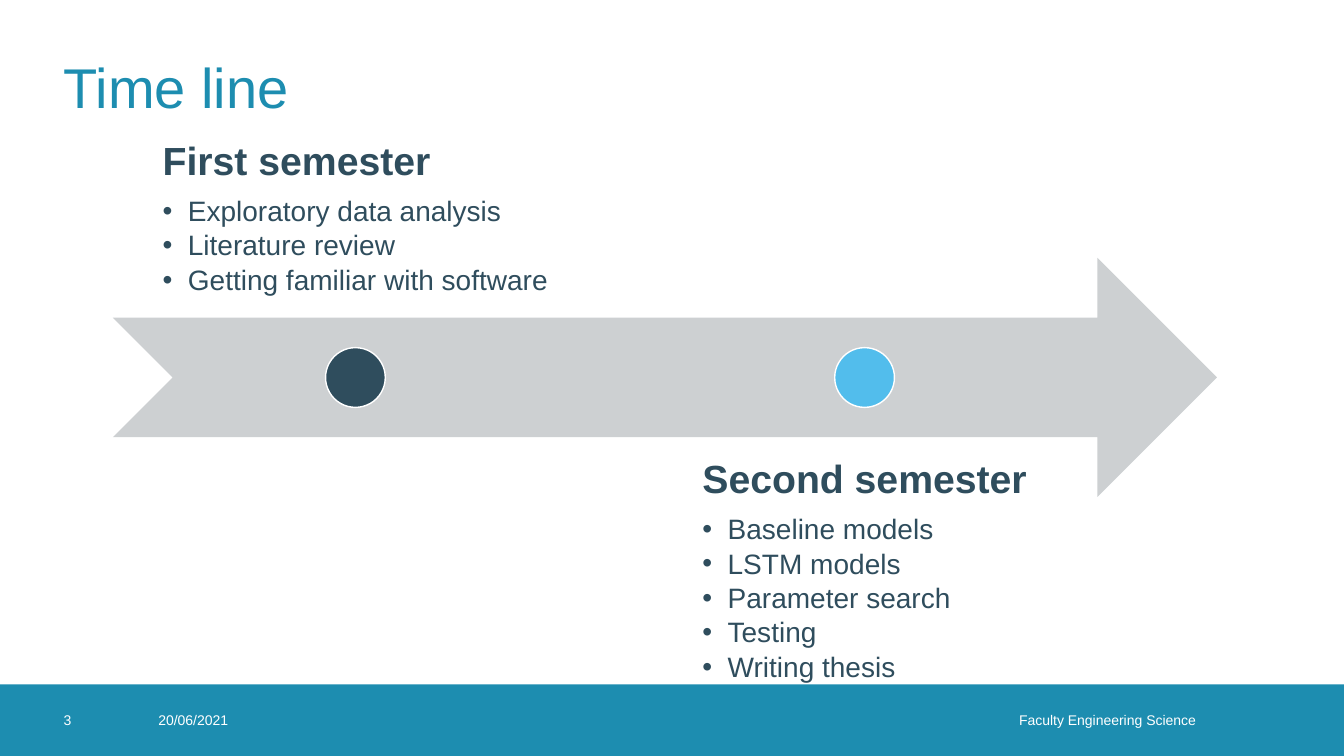
from lxml.etree import SubElement
from pptx import Presentation
from pptx.dml.color import RGBColor
from pptx.enum.shapes import MSO_SHAPE as Shape
from pptx.enum.text import MSO_ANCHOR as Anchor, PP_ALIGN as Align
from pptx.oxml.ns import qn
from pptx.util import Inches, Pt

TEAL, NAVY, SKY, GREY, WHITE = "1D8DB0", "2F4D5D", "52BDEC", "CDD0D2", "FFFFFF"
HEADING = {"size": Pt(28), "bold": True}
ITEM = {"size": Pt(20), "bold": False}
HEADING_SPACING = {"line_spacing": 0.9, "space_after": Pt(9.8)}
ITEM_SPACING = {"line_spacing": 0.9, "space_after": Pt(3)}


def colour(value):
    """Return the colour for a hex string."""
    return RGBColor.from_string(value)


def set_all(target, values):
    """Set each named attribute of the target."""
    for name, value in values.items():
        setattr(target, name, value)


def add_area(page, box, anchor, insets=(0, 0, 0, 0)):
    """Add an empty wrapping text box and return its text frame."""
    frame = page.shapes.add_textbox(*map(Inches, box)).text_frame
    left, top, right, bottom = map(Inches, insets)
    set_all(frame, {"word_wrap": True, "vertical_anchor": anchor,
                    "margin_left": left, "margin_top": top,
                    "margin_right": right, "margin_bottom": bottom})
    return frame


def write(para, text, tint, font, layout):
    """Write one formatted run into a paragraph."""
    span = para.add_run()
    span.text = text
    set_all(span.font, {"name": "Arial", **font})
    span.font.color.rgb = colour(tint)
    set_all(para, layout)


def add_bullet(para):
    """Give a paragraph a hanging round bullet."""
    props = para._p.get_or_add_pPr()
    props.set("marL", str(Inches(0.25)))
    props.set("indent", str(-Inches(0.25)))
    SubElement(props, qn("a:buFont")).set("typeface", "Arial")
    SubElement(props, qn("a:buChar")).set("char", "•")


def add_solid(page, kind, box, fill, outline=None):
    """Add a flat filled shape with an optional thin outline."""
    shape = page.shapes.add_shape(kind, *map(Inches, box))
    shape.shadow.inherit = False
    shape.fill.solid()
    shape.fill.fore_color.rgb = colour(fill)
    if outline:
        shape.line.color.rgb = colour(outline)
        shape.line.width = Pt(1)
    else:
        shape.line.fill.background()


def add_title(page, box, text):
    """Place the slide title."""
    frame = add_area(page, box, Anchor.MIDDLE)
    write(frame.paragraphs[0], text, TEAL, {"size": Pt(40)}, {})


def add_footer(page, box):
    """Draw the footer band with its number, date and faculty."""
    left, top, _, height = box
    add_solid(page, Shape.RECTANGLE, box, TEAL)
    fields = [("3", 0.63, 0.71, 0, Align.LEFT),
              ("20/06/2021", 1.57, 0.79, 0, Align.LEFT),
              ("Faculty Engineering Science", 6.6, 5.46, 0.2, Align.RIGHT)]
    for text, offset, width, inset, align in fields:
        frame = add_area(page, (left + offset, top, width, height),
                         Anchor.MIDDLE, (0, 0, inset, 0))
        write(frame.paragraphs[0], text, WHITE, {"size": Pt(10)}, {"alignment": align})


def add_semester(page, box, anchor, heading, items):
    """Place a semester heading and its tasks, centred as one block."""
    frame = add_area(page, box, anchor, (0.22,) * 4)
    frame._txBody.find(qn("a:bodyPr")).set("anchorCtr", "1")
    write(frame.paragraphs[0], heading, NAVY, HEADING, HEADING_SPACING)
    for item in items:
        para = frame.add_paragraph()
        write(para, item, NAVY, ITEM, ITEM_SPACING)
        add_bullet(para)


def add_timeline(page, box):
    """Draw the arrow with a marker and a text block per semester."""
    left, top, width, height = box
    add_solid(page, Shape.NOTCHED_RIGHT_ARROW, box, GREY)
    block_width, dot, gap = 4.81, height / 4, 0.24
    semesters = [
        ("First semester", NAVY, 0, top - height + 0.6, Anchor.BOTTOM,
         ["Exploratory data analysis", "Literature review",
          "Getting familiar with software"]),
        ("Second semester", SKY, block_width + gap, top + 0.75 * height,
         Anchor.TOP,
         ["Baseline models", "LSTM models", "Parameter search", "Testing",
          "Writing thesis"]),
    ]
    for heading, tint, offset, block_top, anchor, items in semesters:
        block_left = left + offset
        add_semester(page, (block_left, block_top, block_width, height),
                     anchor, heading, items)
        add_solid(page, Shape.OVAL,
                  (block_left + (block_width - dot) / 2,
                   top + (height - dot) / 2, dot, dot), tint, WHITE)


def main():
    """Build and save the timeline slide."""
    deck = Presentation()
    set_all(deck, {"slide_width": Inches(13.33), "slide_height": Inches(7.5)})
    page = deck.slides.add_slide(deck.slide_layouts[6])
    add_footer(page, (0, 6.79, 13.33, 0.71))
    add_title(page, (0.63, 0.22, 12.07, 1.26), "Time line")
    add_timeline(page, (1.12, 2.56, 10.95, 2.37))
    deck.save("out.pptx")


if __name__ == "__main__":
    main()
